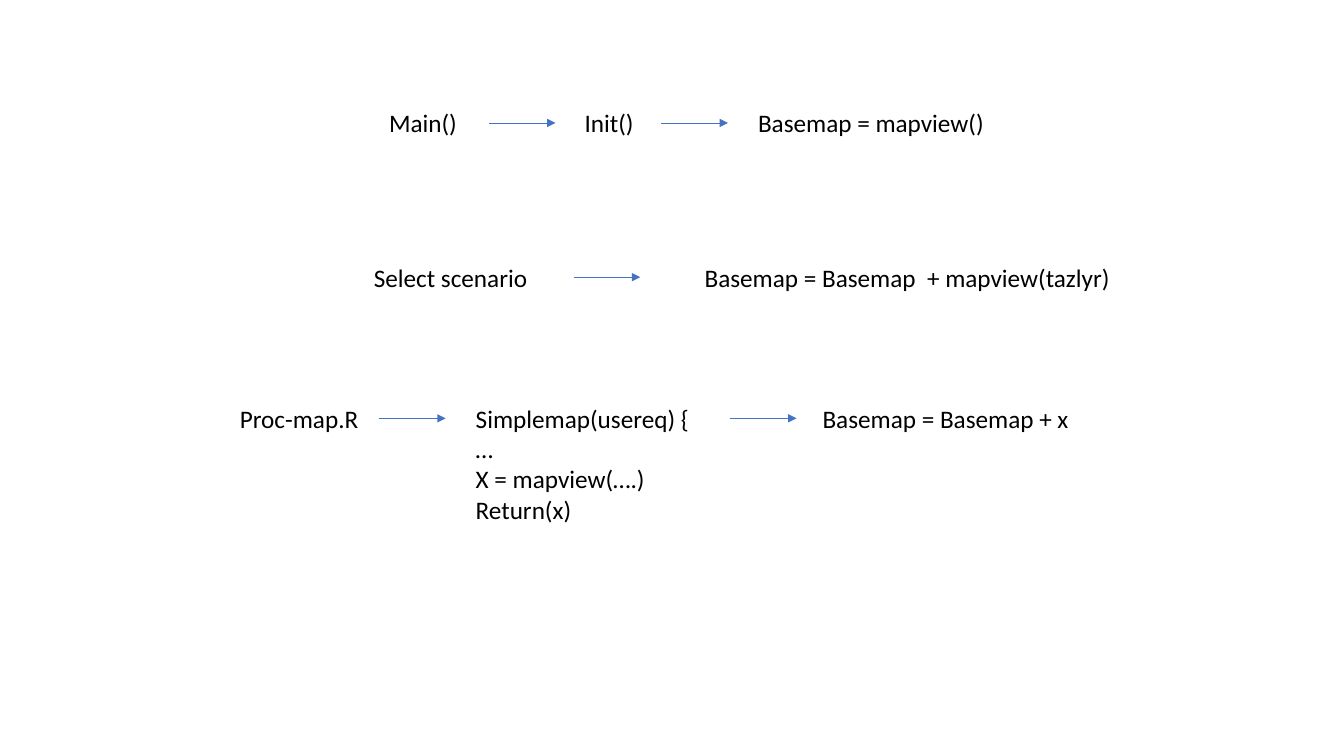
from lxml import etree
from pptx import Presentation
from pptx.dml.color import RGBColor
from pptx.enum.shapes import MSO_CONNECTOR as CONNECTOR
from pptx.enum.text import MSO_AUTO_SIZE as AUTO_SIZE
from pptx.oxml.ns import qn
from pptx.util import Inches, Pt

LINE_HEIGHT = 0.3
BOX_PADDING = 0.1
ARROW_LENGTH = 0.66
ARROW_DROP = 0.2
STEP_FONT = {"name": "Calibri", "size": Pt(18)}

# Each flow: top, steps as (left, width, lines), left ends of the arrows.
FLOWS = [
    (1.02,
     [(3.76, 0.88, ["Main()"]),
      (5.7, 0.69, ["Init()"]),
      (7.42, 2.47, ["Basemap = mapview()"])],
     [4.85, 6.56]),
    (2.55,
     [(3.61, 1.8, ["Select scenario"]),
      (6.89, 4.3, ["Basemap = Basemap  + mapview(tazlyr)"])],
     [5.69]),
    (3.95,
     [(2.28, 1.39, ["Proc-map.R"]),
      (4.62, 2.34, ["Simplemap(usereq) {", "…", "X = mapview(….)", "Return(x)"]),
      (8.06, 2.67, ["Basemap = Basemap + x"])],
     [3.76, 7.24]),
]


def color(hex_value):
    return RGBColor.from_string(hex_value)


def add_step(slide, left, top, width, lines):
    height = LINE_HEIGHT * len(lines) + BOX_PADDING
    step = slide.shapes.add_textbox(
        Inches(left), Inches(top), Inches(width), Inches(height))
    frame = step.text_frame
    frame.word_wrap = False
    frame.auto_size = AUTO_SIZE.SHAPE_TO_FIT_TEXT
    frame.text = "\n".join(lines)
    for paragraph in frame.paragraphs:
        for run in paragraph.runs:
            for attribute, value in STEP_FONT.items():
                setattr(run.font, attribute, value)
            run.font.color.rgb = color("000000")


def add_arrow(slide, left, y):
    arrow = slide.shapes.add_connector(
        CONNECTOR.STRAIGHT,
        Inches(left), Inches(y), Inches(left + ARROW_LENGTH), Inches(y))
    arrow.line.color.rgb = color("4472C4")
    arrow.line.width = Pt(0.5)
    properties = arrow.element.spPr
    etree.SubElement(properties.find(qn("a:ln")), qn("a:tailEnd"), type="triangle")
    etree.SubElement(properties, qn("a:effectLst"))


def add_flow(slide, top, steps, arrow_lefts):
    for left, width, lines in steps:
        add_step(slide, left, top, width, lines)
    for left in arrow_lefts:
        add_arrow(slide, left, top + ARROW_DROP)


def main():
    deck = Presentation()
    deck.slide_width, deck.slide_height = Inches(13.33), Inches(7.5)
    slide = deck.slides.add_slide(deck.slide_layouts[6])
    for top, steps, arrow_lefts in FLOWS:
        add_flow(slide, top, steps, arrow_lefts)
    deck.save("out.pptx")


if __name__ == "__main__":
    main()
